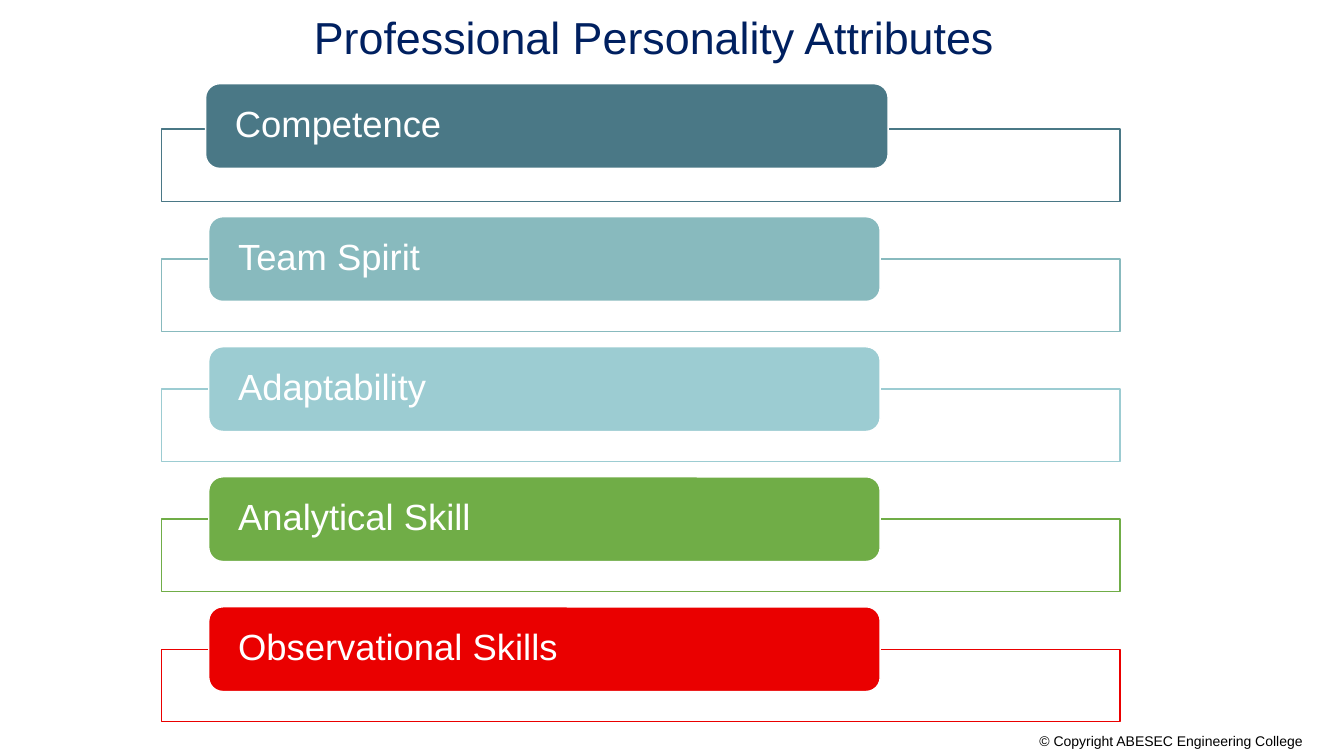
from lxml import etree
from pptx import Presentation
from pptx import util as u
from pptx.dml.color import RGBColor
from pptx.enum import shapes, text
from pptx.oxml.ns import qn

COLORS = {
    "white": "FFFFFF", "black": "000000", "navy": "002060",
    "slate": "4A7886", "teal": "88BABE", "aqua": "9CCCD2",
    "green": "70AD47", "red": "EA0000",
}
ATTRIBUTES = [
    ("Competence", "slate"),
    ("Team Spirit", "teal"),
    ("Adaptability", "aqua"),
    ("Analytical Skill", "green"),
    ("Observational Skills", "red"),
]
ROW_PITCH = 92.88
LABEL_FORMAT = {
    "word_wrap": True, "vertical_anchor": text.MSO_ANCHOR.MIDDLE,
    "margin_left": u.Pt(18), "margin_right": u.Pt(18),
    "margin_top": 0, "margin_bottom": 0,
}


def rgb(name):
    return RGBColor.from_string(COLORS[name])


def write(tf, words, size, color, align, spacing=None):
    p = tf.paragraphs[0]
    p.alignment = align
    p.line_spacing = spacing
    r = p.add_run()
    r.text = words
    r.font.color.rgb = rgb(color)
    for name, value in {"name": "Arial", "size": u.Pt(size)}.items():
        setattr(r.font, name, value)


def add_text(s, box, words, size, color, align):
    tf = s.shapes.add_textbox(*map(u.Pt, box)).text_frame
    tf.word_wrap = True
    write(tf, words, size, color, align)


def add_box(s, kind, box, fill, line):
    sp = s.shapes.add_shape(kind, *map(u.Pt, box))
    sp.shadow.inherit = False
    sp.fill.solid()
    sp.fill.fore_color.rgb = rgb(fill)
    sp.line.color.rgb = rgb(line)
    sp.line.width = u.Pt(1)
    return sp


def add_attribute(s, box, label_box, words, color):
    left, top, width, height = box
    dx, dy, label_width, label_height = label_box
    frame = add_box(s, shapes.MSO_SHAPE.RECTANGLE, box, "white", color)
    fill = frame.fill._xPr.find(qn("a:solidFill"))[0]
    etree.SubElement(fill, qn("a:alpha")).set("val", "90000")
    label = add_box(s, shapes.MSO_SHAPE.ROUNDED_RECTANGLE,
                    (left + dx, top + dy, label_width, label_height), color, "white")
    for name, value in LABEL_FORMAT.items():
        setattr(label.text_frame, name, value)
    write(label.text_frame, words, 26, "white", text.PP_ALIGN.LEFT, 0.9)


def add_attributes(s, box):
    left, top, width, height = box
    for i, (words, color) in enumerate(ATTRIBUTES):
        label_box = (33.9, -30.24, 479.6, 60.48) if i else (31.7, -32.4, 487.5, 60.48)
        row = (left, top + i * ROW_PITCH, width, height)
        add_attribute(s, row, label_box, words, color)


def main():
    prs = Presentation()
    prs.slide_width, prs.slide_height = u.Pt(960), u.Pt(540)
    s = prs.slides.add_slide(prs.slide_layouts[6])
    add_text(s, (1.4, 519.8, 936, 19.4), "© Copyright ABESEC Engineering College",
             10, "black", text.PP_ALIGN.RIGHT)
    add_attributes(s, (115.2, 92.2, 684.8, 51.8))
    add_text(s, (104.4, 3.6, 725.8, 46), "Professional Personality Attributes",
             32, "navy", text.PP_ALIGN.CENTER)
    prs.save("out.pptx")


if __name__ == "__main__":
    main()
